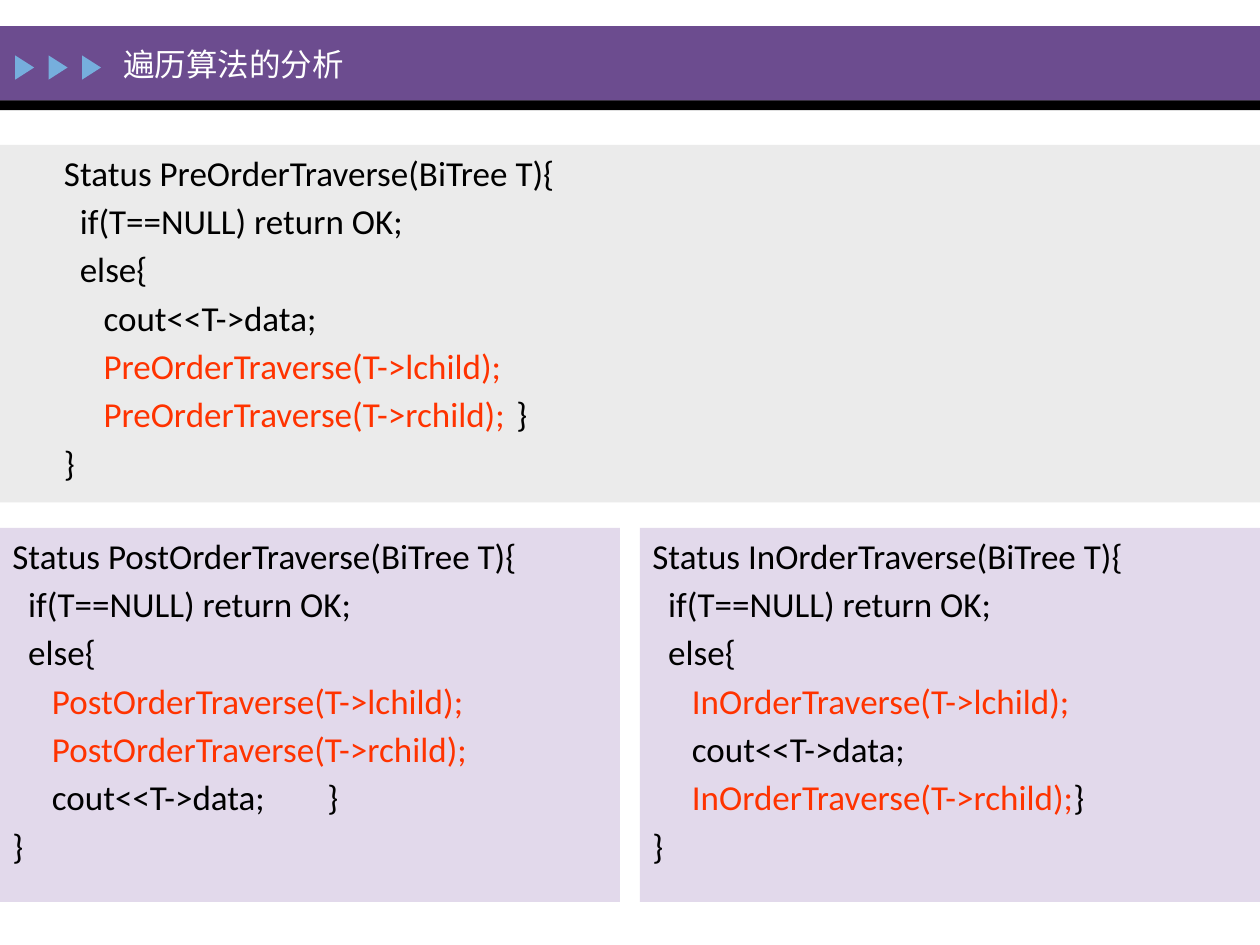
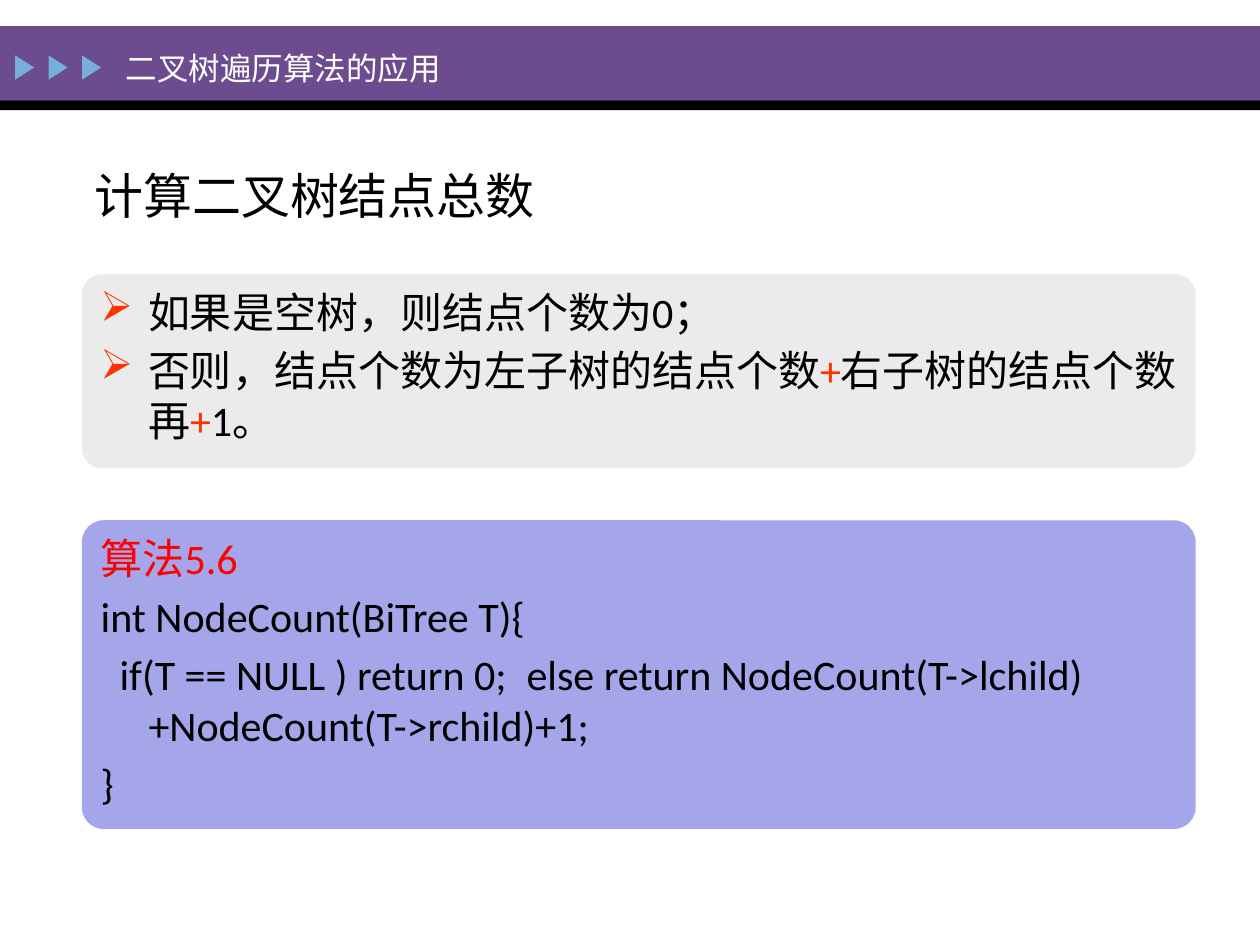
from lxml import etree
from pptx import Presentation
from pptx.dml.color import RGBColor
from pptx.enum.shapes import MSO_SHAPE
from pptx.enum.text import MSO_ANCHOR, PP_ALIGN
from pptx.oxml.ns import qn
from pptx.util import Pt

RECTANGLE = MSO_SHAPE.RECTANGLE
ROUNDED = MSO_SHAPE.ROUNDED_RECTANGLE
TRIANGLE = MSO_SHAPE.ISOSCELES_TRIANGLE
TOP, MIDDLE = MSO_ANCHOR.TOP, MSO_ANCHOR.MIDDLE
LEFT, JUSTIFY = PP_ALIGN.LEFT, PP_ALIGN.JUSTIFY

COLOURS = {
    "band": "6C4C8F", "rule": "000000", "arrow": "76AEDD",
    "white": "FFFFFF", "text": "000000", "call": "FF3300", "label": "FF0000",
    "grey": "EBEBEB", "lilac": "E2D9EB", "blue": "A5A5E9",
}
FONT = "Calibri"
SLIDE_WIDTH, SLIDE_HEIGHT = 720, 540
SPACE_WIDTH = 0.226  # width of one code space, in ems
SPACE_BEFORE = 0.18  # gap above a paragraph, in ems
HANGING = 27.36


def colour(name):
    return RGBColor.from_string(COLOURS[name])


def set_attributes(target, values):
    for name, value in values.items():
        setattr(target, name, value)


def add_block(slide, kind, box, fill):
    shape = slide.shapes.add_shape(kind, *map(Pt, box))
    shape.shadow.inherit = False
    shape.fill.solid()
    shape.fill.fore_color.rgb = colour(fill)
    shape.line.fill.background()
    return shape


def add_runs(paragraph, runs, size):
    for text, colour_name in runs:
        run = paragraph.add_run()
        run.text = text
        set_attributes(run.font, {"name": FONT, "size": Pt(size)})
        run.font.color.rgb = colour(colour_name)


def set_margins(paragraph, margin, indent):
    properties = paragraph._p.get_or_add_pPr()
    properties.set("marL", str(Pt(margin)))
    properties.set("indent", str(Pt(indent)))
    return properties


def add_bullet(properties):
    bullet_colour = etree.SubElement(properties, qn("a:buClr"))
    etree.SubElement(bullet_colour, qn("a:srgbClr"), val=COLOURS["call"])
    etree.SubElement(properties, qn("a:buChar"), char="➢")


def add_tab(properties, position):
    tabs = etree.SubElement(properties, qn("a:tabLst"))
    etree.SubElement(tabs, qn("a:tab"), pos=str(Pt(position)), algn="l")


def paragraphs_for(shape, lines, size, alignment):
    """Yield each line with a formatted paragraph to hold it."""
    frame = shape.text_frame
    set_attributes(frame, {"word_wrap": True, "vertical_anchor": TOP})
    for number, line in enumerate(lines):
        paragraph = frame.add_paragraph() if number else frame.paragraphs[0]
        set_attributes(paragraph, {"alignment": alignment,
                                   "space_before": Pt(size * SPACE_BEFORE)})
        yield paragraph, line


def add_code(shape, lines, size, alignment=LEFT, base=0, tab=None, hanging=0):
    """Each line is (leading spaces, runs); lines with a tab use the tab stop."""
    for paragraph, (spaces, runs) in paragraphs_for(shape, lines, size, alignment):
        has_tab = any("\t" in text for text, _ in runs)
        margin = hanging if has_tab else 0
        start = base + spaces * size * SPACE_WIDTH
        properties = set_margins(paragraph, margin, start - margin)
        if has_tab:
            add_tab(properties, tab - margin)
        add_runs(paragraph, runs, size)


def add_heading(slide, box, text, size, colour_name):
    shape = slide.shapes.add_textbox(*map(Pt, box))
    set_attributes(shape.text_frame, {"word_wrap": True, "vertical_anchor": MIDDLE})
    add_runs(shape.text_frame.paragraphs[0], [(text, colour_name)], size)


def add_header(slide, title, title_box):
    # Band and rule
    add_block(slide, RECTANGLE, (0, 15, SLIDE_WIDTH, 42.5), "band")
    add_block(slide, RECTANGLE, (0, 57.4, SLIDE_WIDTH, 5.6), "rule")
    # Three arrows pointing right
    for number in range(3):
        arrow = add_block(slide, TRIANGLE, (7.2 + 19.1 * number, 33.2, 13.8, 10.8), "arrow")
        arrow.rotation = 90
    add_heading(slide, title_box, title, 18, "white")


def code_line(spaces, text, colour_name="text"):
    return spaces, [(text, colour_name)]


def traversal(name, body):
    """Wrap the inner statements in the lines every traversal shares."""
    return [
        code_line(0, f"Status {name}(BiTree T){{"),
        code_line(2, "if(T==NULL) return OK;"),
        code_line(2, "else{"),
        *body,
        code_line(0, "}"),
    ]


def child_call(name, child):
    return f"{name}(T->{child});", "call"


def build_traversal_slide(slide):
    add_header(slide, "遍历算法的分析", (63.4, 16.6, 291, 40.3))
    visit = "cout<<T->data;"
    pre, post, middle = "PreOrderTraverse", "PostOrderTraverse", "InOrderTraverse"
    pre_lines = traversal(pre, [
        code_line(5, visit),
        (5, [child_call(pre, "lchild")]),
        (5, [child_call(pre, "rchild"), ("\t}", "text")]),
    ])
    post_lines = traversal(post, [
        (5, [child_call(post, "lchild")]),
        (5, [child_call(post, "rchild")]),
        code_line(5, visit + "\t}"),
    ])
    middle_lines = traversal(middle, [
        (5, [child_call(middle, "lchild")]),
        code_line(5, visit),
        (5, [child_call(middle, "rchild"), ("}", "text")]),
    ])
    # Wide panel above, two half panels below
    half = 354.3
    panels = [
        ((0, 82.8, SLIDE_WIDTH, 204.3), "grey", pre_lines, 29.5, 304.8),
        ((0, 301.7, half, 213.7), "lilac", post_lines, 0, 162.5),
        ((SLIDE_WIDTH - half, 301.7, half, 213.7), "lilac", middle_lines, 0, None),
    ]
    for box, fill, lines, base, tab in panels:
        panel = add_block(slide, RECTANGLE, box, fill)
        add_code(panel, lines, 20, JUSTIFY, base, tab)


def add_rounded_panel(slide, box, fill, corner):
    panel = add_block(slide, ROUNDED, box, fill)
    panel.adjustments[0] = corner
    return panel


def add_rules(slide, box):
    panel = add_rounded_panel(slide, box, "grey", 0.104)
    rules = [
        [("如果是空树，则结点个数为0；", "text")],
        [("否则，结点个数为左子树的结点个数", "text"), ("+", "call"),
         ("右子树的结点个数再", "text"), ("+", "call"), ("1。", "text")],
    ]
    for paragraph, runs in paragraphs_for(panel, rules, 24, LEFT):
        add_bullet(set_margins(paragraph, HANGING, -HANGING))
        add_runs(paragraph, runs, 24)


def add_algorithm(slide, box):
    panel = add_rounded_panel(slide, box, "blue", 0.071)
    lines = [
        code_line(0, "算法5.6", "label"),
        code_line(0, "int NodeCount(BiTree T){"),
        code_line(2, "if(T == NULL ) return 0;\telse return "
                     "NodeCount(T->lchild)+NodeCount(T->rchild)+1;"),
        code_line(0, "}"),
    ]
    add_code(panel, lines, 24, tab=408.6, hanging=HANGING)


def build_count_slide(slide):
    add_header(slide, "二叉树遍历算法的应用", (64.8, 18.7, 523.4, 40.3))
    add_heading(slide, (46.8, 90.7, 385.2, 41), "计算二叉树结点总数", 28, "text")
    left, width = 46.8, 636.5
    add_rules(slide, (left, 156.7, width, 110.9))
    add_algorithm(slide, (left, 297.3, width, 176.4))


def main():
    presentation = Presentation()
    set_attributes(presentation, {"slide_width": Pt(SLIDE_WIDTH),
                                  "slide_height": Pt(SLIDE_HEIGHT)})
    blank = presentation.slide_layouts[6]
    for build in (build_traversal_slide, build_count_slide):
        build(presentation.slides.add_slide(blank))
    presentation.save("out.pptx")


if __name__ == "__main__":
    main()
